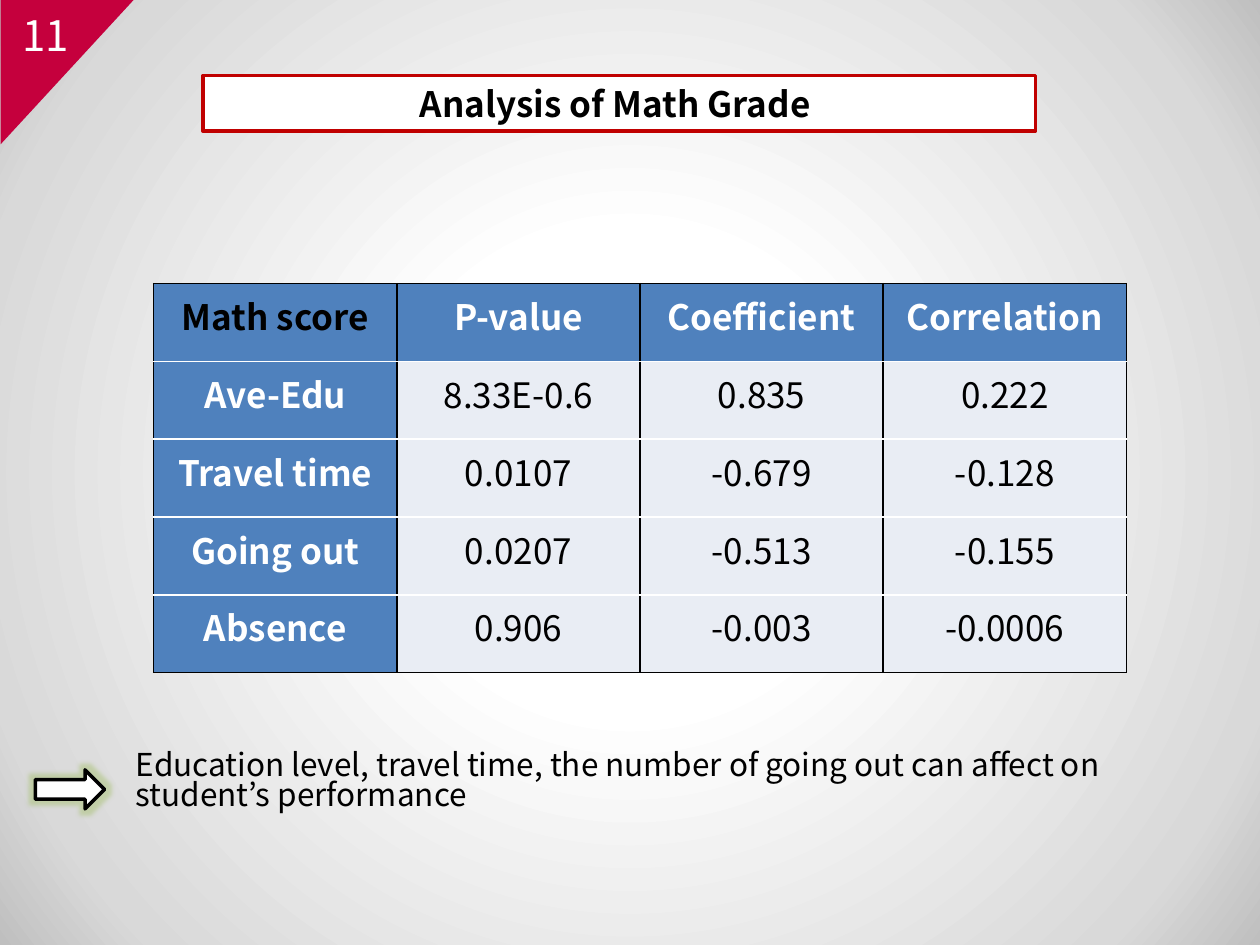
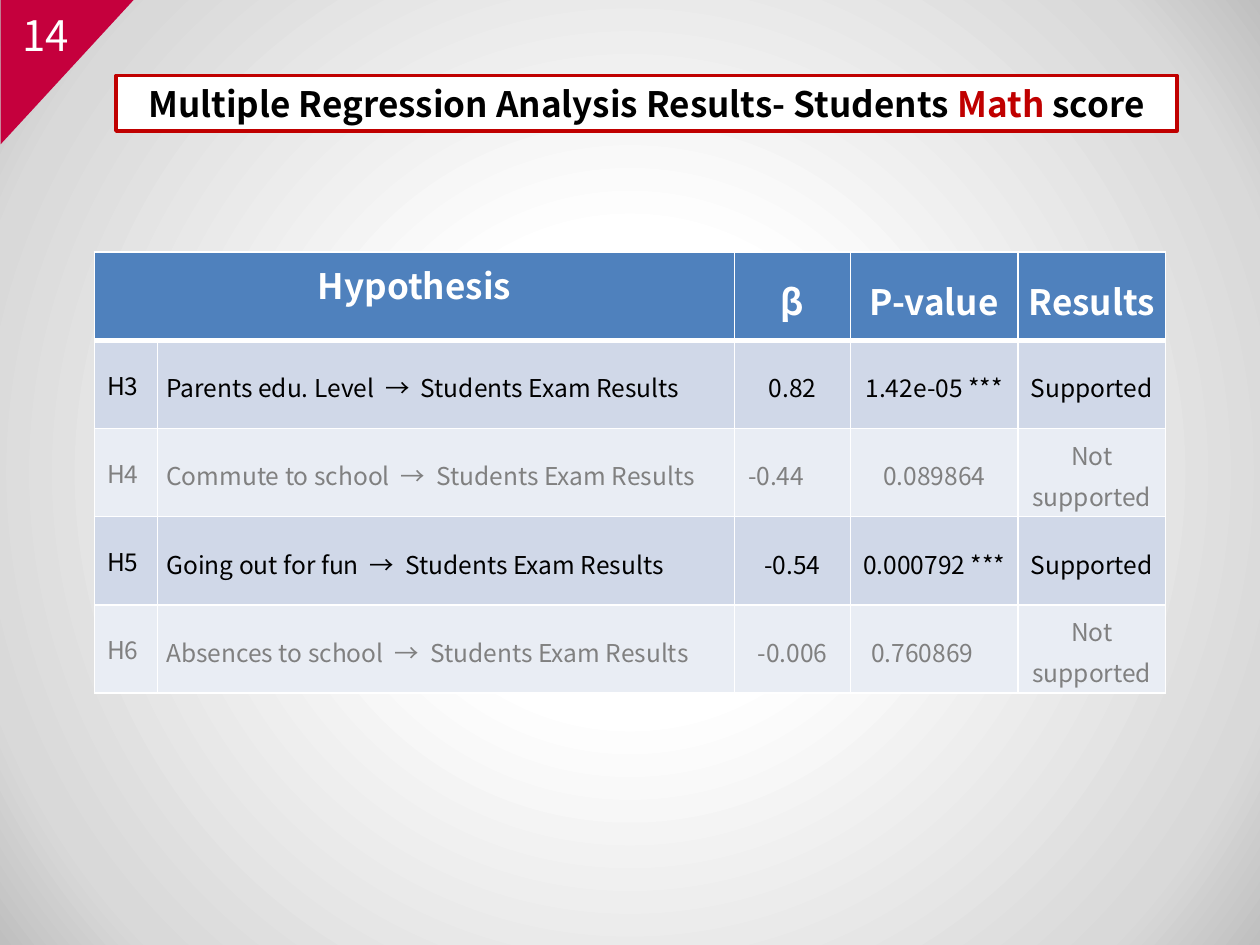
from dataclasses import dataclass
from lxml import etree
from pptx import Presentation, util as u
from pptx.dml.color import RGBColor
from pptx.enum import shapes, text
from pptx.oxml import ns

MID, TOP = text.MSO_ANCHOR.MIDDLE, text.MSO_ANCHOR.TOP
LEFT, MIDDLE, JUST = (text.PP_ALIGN.LEFT, text.PP_ALIGN.CENTER,
                      text.PP_ALIGN.JUSTIFY)


@dataclass(frozen=True)
class Theme:
    """Colours, font, type sizes and line widths of the deck."""
    font: str = "Noto Sans CJK KR"
    black: str = "000000"
    white: str = "FFFFFF"
    gray: str = "808080"
    red: str = "C00000"
    corner: str = "C5003D"
    head: str = "4F81BD"
    dark: str = "D0D8E8"
    pale: str = "E9EDF4"
    glow: str = "9BBB59"
    back: tuple = ((30, "FFFFFF"), (85, "D9D9D9"), (100, "BFBFBF"))
    page: int = 24
    title: int = 20
    body: int = 18
    small: int = 14
    thin: int = 1
    line: int = 2
    thick: int = 3


def assign(item, form):
    """Set attributes of an item from a dict."""
    for key, value in form.items():
        setattr(item, key, value)


def node(root, tag, **attrs):
    """Add a DrawingML child with attributes."""
    return etree.SubElement(root, ns.qn("a:" + tag),
                            {k: str(v) for k, v in attrs.items()})


class Deck:
    """Style and current slide, on a grid of 100 columns by 75 rows."""

    def __init__(self, theme):
        """Start a deck with its size and shared background."""
        self.th = theme
        self.prs = Presentation()
        self.prs.slide_width, self.prs.slide_height = u.Inches(10), u.Inches(7.5)
        self.unit = self.prs.slide_width / 100
        self.slide = None
        self.paint()

    def span(self, *sizes):
        """Turn grid units into lengths."""
        return [u.Emu(round(s * self.unit)) for s in sizes]

    def paint(self):
        """Put the round gradient on the master."""
        master = self.prs.slide_master
        master.background.fill.gradient()
        grad = master.element.find(".//" + ns.qn("a:gradFill"))
        for child in list(grad):
            grad.remove(child)
        stops = node(grad, "gsLst")
        for pos, color in self.th.back:
            node(node(stops, "gs", pos=pos * 1000), "srgbClr", val=color)
        ring = node(grad, "path", path="circle")
        node(ring, "fillToRect", l=50000, t=50000, r=50000, b=50000)

    def fill(self, item, color):
        """Fill a shape or cell with one colour."""
        item.fill.solid()
        item.fill.fore_color.rgb = RGBColor.from_string(color)

    def edge(self, shape, color):
        """Outline a shape."""
        shape.line.color.rgb = RGBColor.from_string(color)
        shape.line.width = u.Pt(self.th.line)

    def words(self, frame, runs, size, color="000000", bold=False,
              align=LEFT, space=None):
        """Set one paragraph of (words, colour) runs or plain words."""
        para = frame.paragraphs[0]
        assign(para, {"alignment": align, "line_spacing": space})
        for part, tint in [(runs, color)] if isinstance(runs, str) else runs:
            run = para.add_run()
            run.text = part
            assign(run.font, {"name": self.th.font, "size": u.Pt(size),
                              "bold": bold})
            run.font.color.rgb = RGBColor.from_string(tint)
            node(run.font._element, "ea", typeface=self.th.font)

    def page(self, number, title, left, width):
        """Add a slide with its corner, number and framed title."""
        th = self.th
        self.slide = self.prs.slides.add_slide(self.prs.slide_layouts[5])
        wedge = self.shape(shapes.MSO_SHAPE.RIGHT_TRIANGLE,
                           (-0.4, 0.4, 11.5, 10.6), th.corner)
        wedge.rotation = 90
        self.label((0.8, 0, 9.8, 5.5), number, th.page, th.white, anchor=MID)
        head = self.slide.shapes.title
        left, top, width, height = self.span(left, 6, width, 4.4)
        assign(head, {"left": left, "top": top, "width": width,
                      "height": height})
        self.fill(head, th.white)
        self.edge(head, th.red)
        assign(head.text_frame, {"vertical_anchor": MID, "word_wrap": True,
                                 "auto_size": text.MSO_AUTO_SIZE.NONE})
        self.words(head.text_frame, title, th.title, th.black, True, MIDDLE)

    def shape(self, kind, box, color):
        """Add a flat preset shape without outline."""
        item = self.slide.shapes.add_shape(kind, *self.span(*box))
        item.shadow.inherit = False
        self.fill(item, color)
        item.line.fill.background()
        return item

    def arrow(self, box):
        """Add an outlined block arrow with a soft glow."""
        item = self.shape(shapes.MSO_SHAPE.RIGHT_ARROW, box, self.th.white)
        self.edge(item, self.th.black)
        effects = item._element.spPr.find(ns.qn("a:effectLst"))
        glow = node(effects, "glow", rad=u.Pt(5))
        node(node(glow, "srgbClr", val=self.th.glow), "alpha", val=40000)

    def label(self, box, words, size, color, anchor=TOP, space=None):
        """Add a wrapped text box."""
        frame = self.slide.shapes.add_textbox(*self.span(*box)).text_frame
        assign(frame, {"word_wrap": True, "vertical_anchor": anchor})
        self.words(frame, words, size, color, space=space)

    def rule(self, cell, color, widths):
        """Draw cell borders from a dict of side and width."""
        root = cell._tc.get_or_add_tcPr()
        for side, width in widths.items():
            line = node(root, "ln" + side, w=u.Pt(width))
            node(node(line, "solidFill"), "srgbClr", val=color)

    def table(self, box, cols, rows, look, line, base):
        """Add a table; look gives fill, cell and text formats by place."""
        grid = self.slide.shapes.add_table(
            len(rows), len(cols), *self.span(*box)).table
        for col, width in zip(grid.columns, self.span(*cols)):
            col.width = width
        for r, row in enumerate(rows):
            for c, words in enumerate(row):
                cell = grid.cell(r, c)
                color, form, style = look(r, c)
                sides = {"L": self.th.thin, "R": self.th.thin}
                if r == 0:
                    sides["T"] = self.th.thin
                sides["B"] = self.th.thin if r else base
                self.rule(cell, line, sides)
                self.fill(cell, color)
                assign(cell, form)
                if words:
                    self.words(cell.text_frame, words, **style)
        return grid


def grades(deck):
    """Build the slide on the math grade."""
    th = deck.th
    deck.page("11", "Analysis of Math Grade ", 16.1, 66.1)

    def look(r, c):
        """Blue first row and column, pale values."""
        head = r == 0 or c == 0
        color = th.white if head and r + c else th.black
        return (th.head if head else th.pale, {},
                dict(size=th.title, color=color, bold=head, align=MIDDLE))

    rows = [("Math score", "P-value", "Coefficient", "Correlation"),
            ("Ave-Edu", "8.33E-0.6", "0.835", "0.222"),
            ("Travel time", "0.0107", "-0.679", "-0.128"),
            ("Going out", "0.0207", "-0.513", "-0.155"),
            ("Absence", "0.906", "-0.003", "-0.0006")]
    deck.table((12.2, 22.5, 77.2, 30.9), [19.3] * 4, rows, look,
               th.black, th.thin)
    deck.arrow((2.8, 61.1, 5.5, 3.1))
    deck.label((9.8, 59.2, 84.3, 7.1),
               "Education level, travel time, the number of going out can "
               "affect on student’s performance", th.body, th.black, space=0.8)


def tests(deck):
    """Build the slide on the regression results."""
    th = deck.th
    deck.page("14", [("Multiple Regression Analysis Results- Students ",
                      th.black), ("Math", th.red), (" score", th.black)],
              9.2, 84.2)
    shift = {(2, 2): 3.3, (4, 3): 2.6}  # wider right margins

    def look(r, c):
        """Blue head, then banded rows with weak results in gray."""
        odd = r % 2 == 1
        form = {"vertical_anchor": MID if r or c > 1 else TOP}
        style = dict(size=th.small, color=th.black if odd else th.gray)
        if r == 0:
            style = dict(size=th.title, color=th.white, bold=True,
                         align=MIDDLE)
        if c > 1 or r and c:
            side, end = deck.span(0.7, shift.get((r, c), 0.7))
            form.update(margin_left=side, margin_right=end,
                        margin_top=0, margin_bottom=0)
            style.update(space=1.15, align=JUST if c == 1 else MIDDLE)
        fill = th.head if r == 0 else th.dark if odd else th.pale
        return fill, form, style

    facts = [("Parents edu. Level", "0.82", "1.42e-05 ***", "Supported"),
             ("Commute to school", "-0.44", "0.089864", "Not supported"),
             ("Going out for fun", "-0.54", "0.000792 ***", "Supported"),
             ("Absences to school", "-0.006", "0.760869", "Not supported")]
    rows = [("Hypothesis", "", "β", "P-value", "Results")]
    rows += [(f"H{n}", f"{cause}  →  Students Exam Results", *rest)
             for n, (cause, *rest) in enumerate(facts, 3)]
    grid = deck.table((7.5, 20, 85, 35), [5, 45.8, 9.2, 13.3, 11.7], rows,
                      look, th.white, th.thick)
    grid.cell(0, 0).merge(grid.cell(0, 1))


def main():
    """Build and save the deck."""
    deck = Deck(Theme())
    grades(deck)
    tests(deck)
    deck.prs.save("out.pptx")


main()
